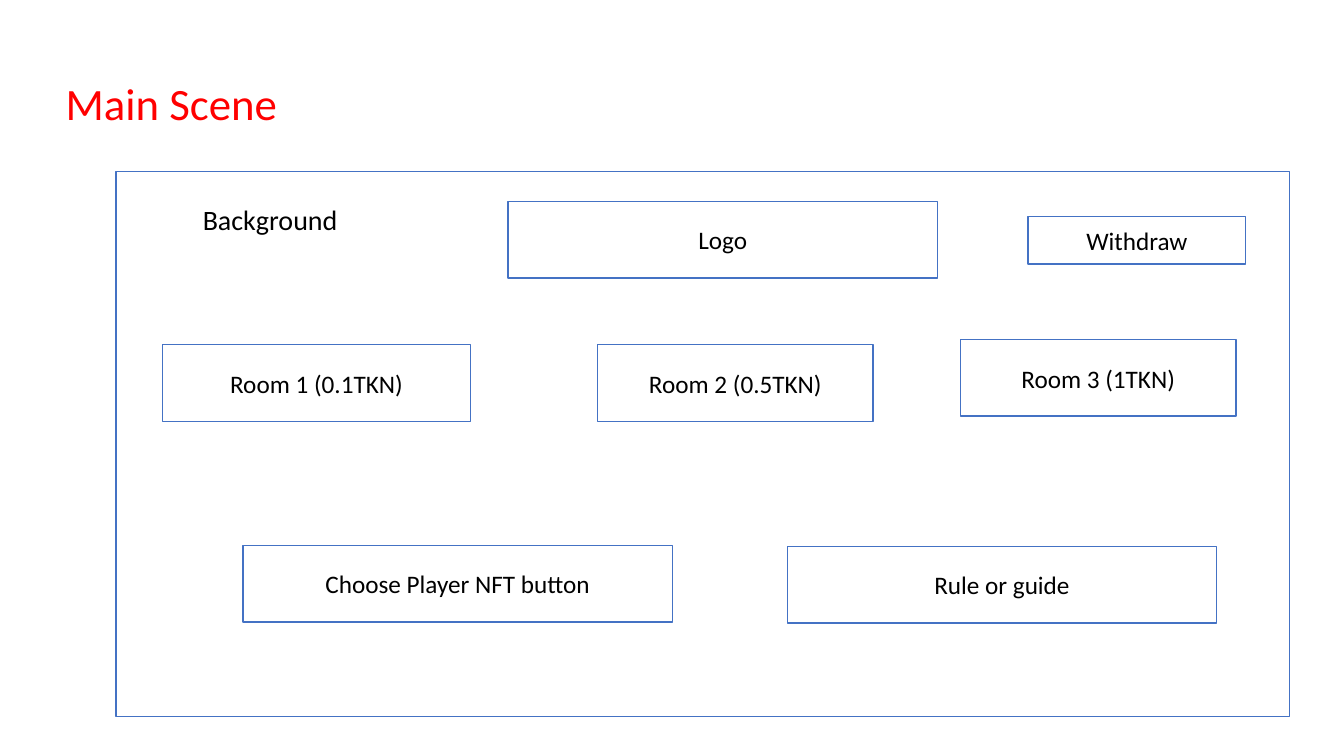
from dataclasses import dataclass

from pptx import Presentation
from pptx.dml.color import RGBColor
from pptx.enum.shapes import MSO_SHAPE
from pptx.enum.text import MSO_ANCHOR, MSO_AUTO_SIZE, PP_ALIGN
from pptx.shapes.autoshape import Shape
from pptx.slide import Slide
from pptx.util import Inches, Pt

COLORS = {"title": "FF0000", "text": "000000", "line": "4472C4", "fill": "FFFFFF"}
FONT = "Calibri"
SLIDE_WIDTH = Inches(13.333)
SLIDE_HEIGHT = Inches(7.5)
BUTTON_HEIGHT = 10.13
WIDE_BUTTON = 31.95
ROOM_BUTTON = 20.48


@dataclass(frozen=True)
class Area:
    """Position and size in percent of the slide."""

    left: float
    top: float
    width: float
    height: float = BUTTON_HEIGHT

    def lengths(self) -> tuple[int, int, int, int]:
        return (
            round(SLIDE_WIDTH * self.left / 100),
            round(SLIDE_HEIGHT * self.top / 100),
            round(SLIDE_WIDTH * self.width / 100),
            round(SLIDE_HEIGHT * self.height / 100),
        )


@dataclass(frozen=True)
class Button:
    label: str
    area: Area


TITLE_AREA = Area(1.88, 10.13, 21.75, 8.67)
CAPTION_AREA = Area(9.23, 26.67, 21.75, 8.67)
SCENE_AREA = Area(8.63, 22.67, 87.3, 72.13)

BUTTONS = [
    Button("Logo", Area(37.8, 26.67, WIDE_BUTTON)),
    Button("Withdraw", Area(76.5, 28.67, 16.2, 6.27)),
    Button("Room 1 (0.1TKN)", Area(12.08, 45.6, 22.95)),
    Button("Room 2 (0.5TKN)", Area(44.48, 45.6, ROOM_BUTTON)),
    Button("Room 3 (1TKN)", Area(71.48, 44.93, ROOM_BUTTON)),
    Button("Choose Player NFT button", Area(18.08, 72.13, WIDE_BUTTON)),
    Button("Rule or guide", Area(58.58, 72.27, WIDE_BUTTON)),
]


def write_text(shape: Shape, text: str, size: int, color: str, anchor: MSO_ANCHOR) -> None:
    frame = shape.text_frame
    frame.text = text
    frame.word_wrap = True
    frame.auto_size = MSO_AUTO_SIZE.NONE
    frame.vertical_anchor = anchor
    paragraph = frame.paragraphs[0]
    paragraph.alignment = PP_ALIGN.CENTER
    paragraph.font.name = FONT
    paragraph.font.size = Pt(size)
    paragraph.font.color.rgb = RGBColor.from_string(COLORS[color])


def write_heading(shape: Shape, text: str, size: int, color: str) -> None:
    write_text(shape, text, size, color, MSO_ANCHOR.TOP)
    paragraph = shape.text_frame.paragraphs[0]
    paragraph.line_spacing = 0.9
    paragraph.space_before = Pt(10)


def add_box(slide: Slide, area: Area) -> Shape:
    box = slide.shapes.add_shape(MSO_SHAPE.RECTANGLE, *area.lengths())
    box.shadow.inherit = False
    box.fill.solid()
    box.fill.fore_color.rgb = RGBColor.from_string(COLORS["fill"])
    box.line.color.rgb = RGBColor.from_string(COLORS["line"])
    box.line.width = Pt(1)
    return box


def add_title(slide: Slide) -> None:
    title = slide.shapes.title
    title.left, title.top, title.width, title.height = TITLE_AREA.lengths()
    write_heading(title, "Main Scene", 32, "title")


def main() -> None:
    presentation = Presentation()
    presentation.slide_width = SLIDE_WIDTH
    presentation.slide_height = SLIDE_HEIGHT
    slide = presentation.slides.add_slide(presentation.slide_layouts.get_by_name("Title Only"))

    add_title(slide)
    add_box(slide, SCENE_AREA)
    caption = slide.shapes.add_textbox(*CAPTION_AREA.lengths())
    write_heading(caption, "Background", 20, "text")
    for button in BUTTONS:
        box = add_box(slide, button.area)
        write_text(box, button.label, 18, "text", MSO_ANCHOR.MIDDLE)

    presentation.save("out.pptx")


if __name__ == "__main__":
    main()
